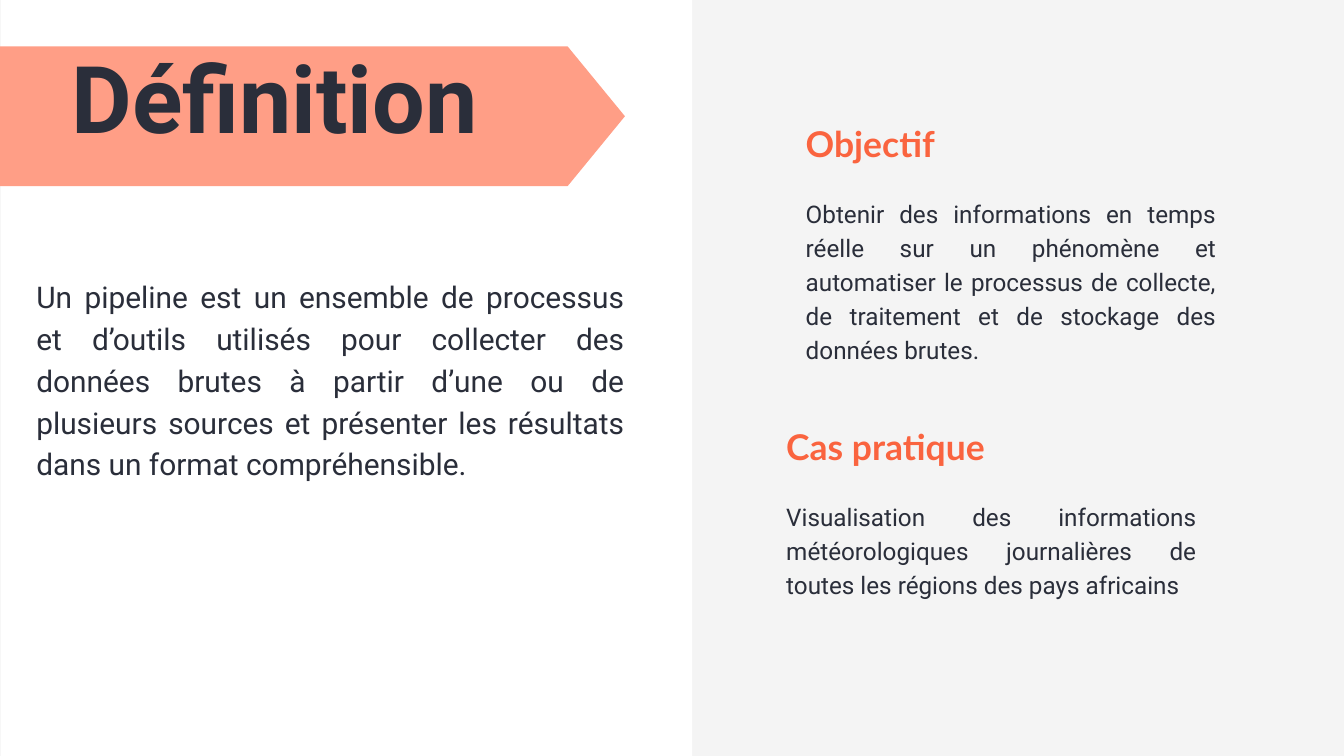
from dataclasses import dataclass

from pptx import Presentation
from pptx.dml.color import RGBColor
from pptx.enum.shapes import MSO_SHAPE
from pptx.enum.text import MSO_ANCHOR, PP_ALIGN
from pptx.util import Inches, Pt

RECTANGLE, PENTAGON = MSO_SHAPE.RECTANGLE, MSO_SHAPE.PENTAGON
TOP, MIDDLE = MSO_ANCHOR.TOP, MSO_ANCHOR.MIDDLE
LEFT, CENTER, JUSTIFY = PP_ALIGN.LEFT, PP_ALIGN.CENTER, PP_ALIGN.JUSTIFY

COLORS = {
    "background": "F4F4F4",
    "panel": "FFFFFF",
    "banner": "FF9E86",
    "heading": "FA643F",
    "text": "2A2E3A",
}


@dataclass(frozen=True)
class Style:
    font: str
    size: float
    leading: float
    color: str
    bold: bool = False
    align: PP_ALIGN = LEFT
    anchor: MSO_ANCHOR = TOP
    inset: float = 0


@dataclass(frozen=True)
class Section:
    left: float
    top: float
    body_height: float
    heading: str
    body: str


TITLE = Style("Roboto", 100, 140, "text", True, CENTER, MIDDLE, 0.06)
DEFINITION = Style("Roboto", 32, 44.8, "text", align=JUSTIFY)
HEADING = Style("Lato", 38, 45.6, "heading", True)
BODY = Style("Roboto", 26, 36.4, "text", align=JUSTIFY)

SECTION_WIDTH = 6.11
HEADING_HEIGHT = 0.62
BODY_OFFSET = 1.07

DEFINITION_TEXT = (
    "Un pipeline est un ensemble de processus et d’outils utilisés pour "
    "collecter des données brutes à partir d’une ou de plusieurs sources et "
    "présenter les résultats dans un format compréhensible."
)
SECTIONS = [
    Section(
        11.99, 1.82, 2.48, "Objectif",
        "Obtenir des informations en temps réelle sur un phénomène et "
        "automatiser le processus de collecte, de traitement et de stockage "
        "des données brutes.",
    ),
    Section(
        11.7, 6.33, 1.48, "Cas pratique",
        "Visualisation des informations météorologiques journalières de "
        "toutes les régions des pays africains",
    ),
]


def rgb(name: str) -> RGBColor:
    return RGBColor.from_string(COLORS[name])


def add_block(slide, kind: MSO_SHAPE, left: float, top: float,
              width: float, height: float, color: str):
    block = slide.shapes.add_shape(
        kind, Inches(left), Inches(top), Inches(width), Inches(height))
    block.shadow.inherit = False
    block.fill.solid()
    block.fill.fore_color.rgb = rgb(color)
    block.line.fill.background()
    return block


def add_text(slide, text: str, left: float, top: float,
             width: float, height: float, style: Style) -> None:
    frame = slide.shapes.add_textbox(
        Inches(left), Inches(top), Inches(width), Inches(height)).text_frame
    frame.word_wrap = True
    frame.vertical_anchor = style.anchor
    frame.margin_left = frame.margin_right = Inches(style.inset)
    frame.margin_top = frame.margin_bottom = Inches(style.inset)
    paragraph = frame.paragraphs[0]
    paragraph.alignment = style.align
    paragraph.line_spacing = Pt(style.leading)
    run = paragraph.add_run()
    run.text = text
    run.font.name = style.font
    run.font.size = Pt(style.size)
    run.font.bold = style.bold
    run.font.color.rgb = rgb(style.color)


def add_section(slide, section: Section) -> None:
    add_text(slide, section.heading, section.left, section.top,
             SECTION_WIDTH, HEADING_HEIGHT, HEADING)
    add_text(slide, section.body, section.left, section.top + BODY_OFFSET,
             SECTION_WIDTH, section.body_height, BODY)


def main() -> None:
    """Build the slide that defines a pipeline, its goal and its use case."""
    deck = Presentation()
    deck.slide_width, deck.slide_height = Inches(20), Inches(11.25)
    slide = deck.slides.add_slide(deck.slide_layouts[6])
    slide.background.fill.solid()
    slide.background.fill.fore_color.rgb = rgb("background")

    add_block(slide, RECTANGLE, 0.01, 0, 10.29, 11.25, "panel")
    add_text(slide, DEFINITION_TEXT, 0.54, 4.06, 8.76, 3.06, DEFINITION)
    for section in SECTIONS:
        add_section(slide, section)

    banner = add_block(slide, PENTAGON, -0.66, 0.69, 9.96, 2.08, "banner")
    banner.adjustments[0] = 0.41
    add_text(slide, "Définition", -0.66, -0.18, 9.49, 2.95, TITLE)

    deck.save("out.pptx")


if __name__ == "__main__":
    main()
